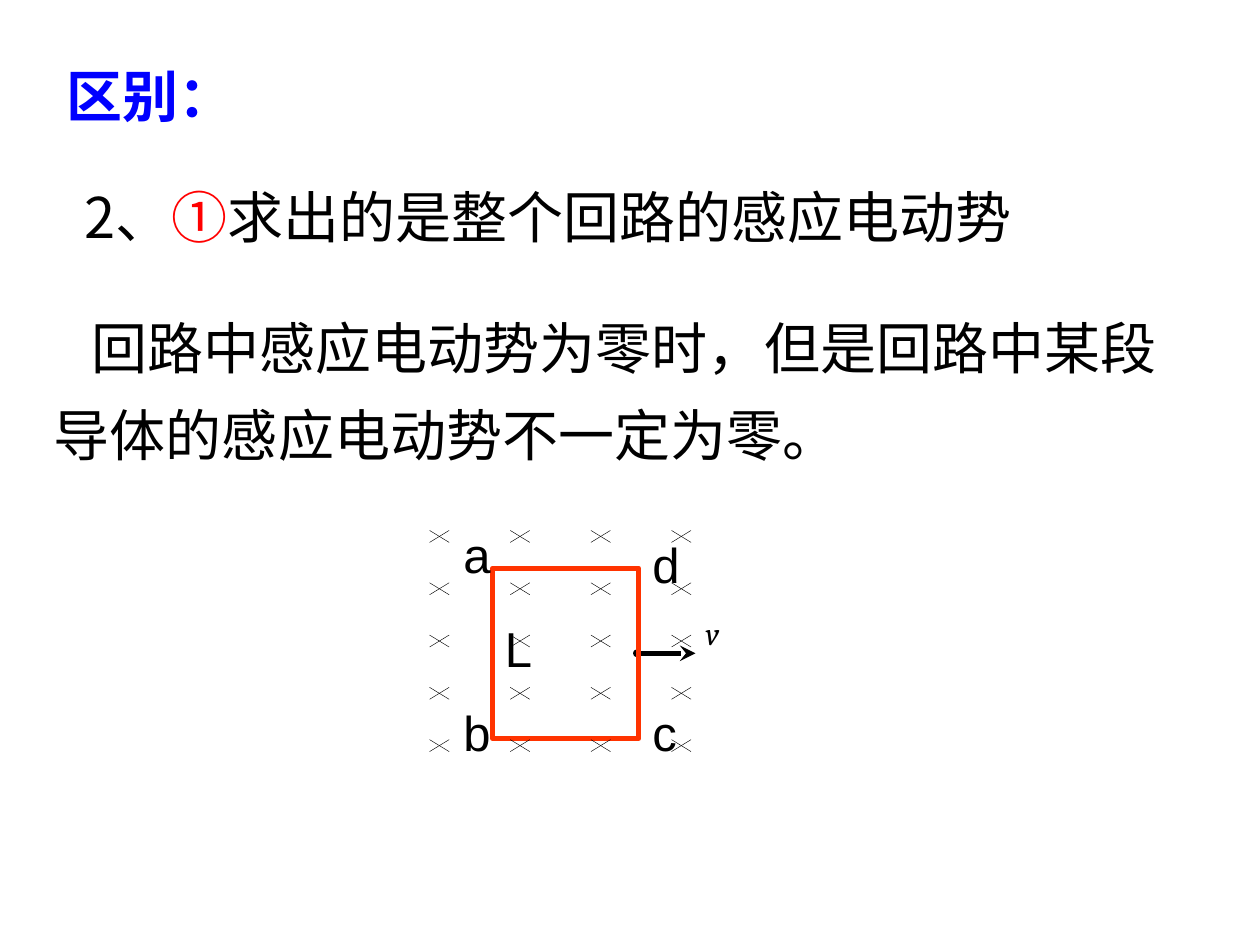
from dataclasses import dataclass
from itertools import product

from pptx import Presentation
from pptx.dml.color import RGBColor
from pptx.enum.shapes import MSO_CONNECTOR, MSO_SHAPE
from pptx.enum.text import MSO_AUTO_SIZE, PP_ALIGN
from pptx.oxml.ns import qn
from pptx.util import Inches, Pt

STRAIGHT = MSO_CONNECTOR.STRAIGHT
RECTANGLE = MSO_SHAPE.RECTANGLE
OVAL = MSO_SHAPE.OVAL
GROW = MSO_AUTO_SIZE.SHAPE_TO_FIT_TEXT
FIXED = MSO_AUTO_SIZE.NONE
JUSTIFY = PP_ALIGN.JUSTIFY
RIGHT_SIDE = 3


@dataclass(frozen=True)
class Theme:
    ink: str = "000000"
    heading: str = "0000FF"
    accent: str = "FF0000"
    loop: str = "FF3300"
    body_font: str = "Noto Sans CJK SC"
    label_font: str = "Arial"
    symbol_font: str = "Cambria"
    body_size: int = 32
    label_size: int = 28
    symbol_size: int = 18
    thick: float = 3
    thin: float = 0.75
    hair: float = 0.25


THEME = Theme()


def write_text(box, spans, *, font, size, bold=False, italic=False,
               spacing=None, indent=0, align=None):
    para = box.text_frame.paragraphs[0]
    para.line_spacing = spacing
    para.alignment = align
    if indent:
        para._p.get_or_add_pPr().set("indent", str(grid(indent)))
    for text, color in spans:
        span = para.add_run()
        span.text = text
        span.font.name = font
        span.font.size = Pt(size)
        span.font.bold = bold
        span.font.italic = italic
        span.font.color.rgb = RGBColor.from_string(color)
        east_asian = span._r.get_or_add_rPr().makeelement(
            qn("a:ea"), {"typeface": THEME.body_font})
        span.font._rPr.find(qn("a:latin")).addnext(east_asian)


def grid(units):
    return Inches(units / 10)


class Painter:
    def __init__(self, theme, page):
        self.theme = theme
        self.page = page
        self.shapes = page.shapes

    def start_group(self):
        self.shapes = self.page.shapes.add_group_shape().shapes

    def end_group(self):
        self.shapes = self.page.shapes

    def text(self, column, row, columns, rows, spans, *, inset=True, **style):
        box = self.shapes.add_textbox(*map(grid, (column, row, columns, rows)))
        frame = box.text_frame
        frame.word_wrap = True
        frame.auto_size = GROW if inset else FIXED
        if not inset:
            frame.margin_left = frame.margin_right = 0
            frame.margin_top = frame.margin_bottom = 0
        write_text(box, spans, **style)

    def outline(self, shape, color, width):
        shape.line.color.rgb = RGBColor.from_string(color)
        shape.line.width = Pt(width)

    def shape(self, kind, column, row, columns, rows, *, color, width, fill=None):
        shape = self.shapes.add_shape(kind, *map(grid, (column, row, columns, rows)))
        shape.shadow.inherit = False
        self.outline(shape, color, width)
        if fill:
            shape.fill.solid()
            shape.fill.fore_color.rgb = RGBColor.from_string(fill)
        else:
            shape.fill.background()
        return shape

    def arrow(self, start, end):
        arrow = self.shapes.add_connector(STRAIGHT, *map(grid, start + end))
        self.outline(arrow, self.theme.ink, self.theme.thick)
        line = arrow.line._get_or_add_ln()
        line.append(line.makeelement(qn("a:tailEnd"), {"type": "stealth"}))
        properties = arrow._element.spPr
        properties.append(properties.makeelement(qn("a:effectLst"), {}))
        return arrow

    def stroke(self, start, end):
        builder = self.shapes.build_freeform(*map(grid, start))
        builder.add_line_segments([tuple(map(grid, end))], close=False)
        stroke = builder.convert_to_shape()
        stroke.shadow.inherit = False
        stroke.fill.background()
        self.outline(stroke, self.theme.ink, self.theme.hair)

    def cross(self, column, row, columns=1.55, rows=0.95):
        right, bottom = column + columns, row + rows
        self.stroke((column, row), (right, bottom))
        self.stroke((column, bottom), (right, row))


def draw_field(painter):
    theme = painter.theme
    painter.start_group()
    loop = painter.shape(RECTANGLE, 39.1, 45.1, 11.6, 13.5,
                         color=theme.loop, width=theme.thick)
    arrow = painter.arrow((50.7, 51.85), (55.2, 51.85))
    arrow.begin_connect(loop, RIGHT_SIDE)
    painter.shape(OVAL, 50.3, 51.6, 0.5, 0.5, color=theme.ink,
                  width=theme.thin, fill=theme.ink)
    loop_element = loop._element
    loop_element.getparent().append(loop_element)
    painter.text(56, 48.7, 4.8, 4.9, [("v", theme.ink)], inset=False,
                 font=theme.symbol_font, size=theme.symbol_size,
                 italic=True, align=JUSTIFY)
    for column, row in product(range(4), range(5)):
        painter.cross(34.1 + 6.4 * column, 42.1 + 4.15 * row)
    labels = [("a", 35.8, 41.1), ("b", 35.8, 55.3), ("c", 50.8, 55.3),
              ("d", 50.8, 41.9), ("L", 39.1, 48.6)]
    for name, column, row in labels:
        painter.text(column, row, 5, 5.7, [(name, theme.ink)],
                     font=theme.label_font, size=theme.label_size)
    painter.end_group()


def main():
    deck = Presentation()
    deck.slide_width, deck.slide_height = grid(100), grid(75)
    page = deck.slides.add_slide(deck.slide_layouts[6])
    painter = Painter(THEME, page)
    body = dict(font=THEME.body_font, size=THEME.body_size, spacing=1.3, indent=3)
    painter.text(2.7, 12.4, 92.9, 8, [
        ("2、", THEME.ink), ("①", THEME.accent),
        ("求出的是整个回路的感应电动势", THEME.ink)], **body)
    draw_field(painter)
    painter.text(3.3, 22.8, 92.9, 14.9, [
        ("回路中感应电动势为零时，但是回路中某段导体的感应电动势不一定为零。",
         THEME.ink)], **body)
    painter.text(4.3, 4.4, 23, 6.4, [("区别：", THEME.heading)],
                 font=THEME.label_font, size=THEME.body_size, bold=True)
    deck.save("out.pptx")


if __name__ == "__main__":
    main()
